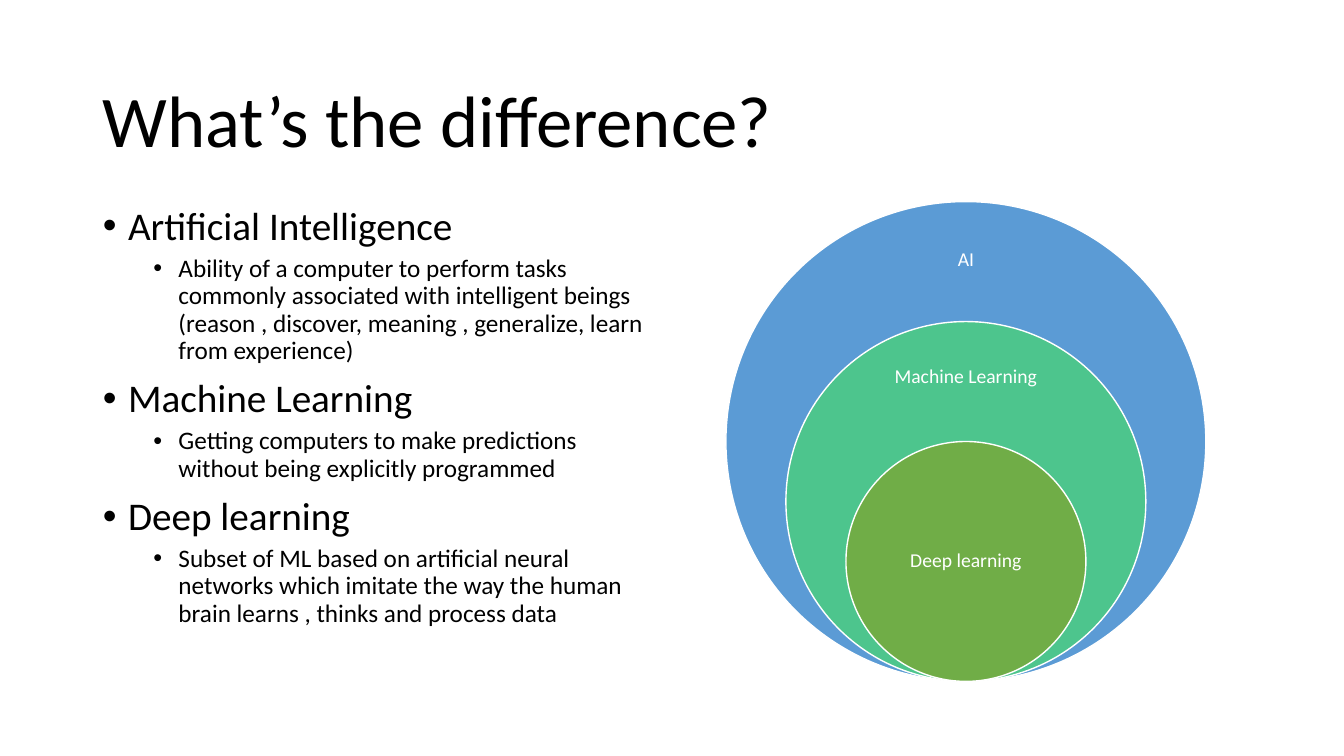
from lxml import etree
from pptx import Presentation
from pptx.dml.color import RGBColor
from pptx.enum.shapes import MSO_SHAPE
from pptx.enum.text import MSO_ANCHOR, MSO_AUTO_SIZE, PP_ALIGN
from pptx.oxml.ns import qn
from pptx.util import Inches, Pt

OVAL = MSO_SHAPE.OVAL
TOP, MIDDLE = MSO_ANCHOR.TOP, MSO_ANCHOR.MIDDLE
LEFT, CENTER = PP_ALIGN.LEFT, PP_ALIGN.CENTER
NO_FIT = MSO_AUTO_SIZE.NONE

CENTER_X, BOTTOM, DIAMETER = 9.58, 6.76, 4.76
LABEL_W = 1.68

TOPICS = [
    ("Artificial Intelligence",
     "Ability of a computer to perform tasks commonly associated with intelligent beings "
     "(reason , discover, meaning , generalize, learn from experience)"),
    ("Machine Learning",
     "Getting computers to make predictions without being explicitly programmed"),
    ("Deep learning",
     "Subset of ML based on artificial neural networks which imitate the way the human "
     "brain learns , thinks and process data"),
]
CIRCLES = [
    ("AI", 1, "5B9BD5", 2.23, 0.71),
    ("Machine Learning", 0.75, "4DC58D", 3.41, 0.67),
    ("Deep learning", 0.5, "70AD47", 4.97, 1.19),
]


def rgb(value):
    return RGBColor.from_string(value)


def apply(target, values):
    for name, value in values.items():
        setattr(target, name, value)


class SlideBuilder:
    font = "Calibri"
    dark = "000000"
    light = "FFFFFF"

    def __init__(self, slide):
        self.s = slide

    def place(self, sp, left, top, width, height):
        apply(sp, {"left": Inches(left), "top": Inches(top),
                   "width": Inches(width), "height": Inches(height)})

    def add_text(self, p, text, size, color, align=LEFT, before=0):
        apply(p, {"alignment": align, "line_spacing": 0.9,
                  "space_before": Pt(before), "space_after": Pt(0)})
        r = p.add_run()
        r.text = text
        apply(r.font, {"name": self.font, "size": Pt(size), "bold": False})
        r.font.color.rgb = rgb(color)

    def bullet(self, p, level):
        p.level = level
        pPr = p._p.get_or_add_pPr()
        pPr.set("marL", str(Inches(0.25 + 0.5 * level)))
        pPr.set("indent", str(Inches(-0.25)))
        etree.SubElement(pPr, qn("a:buFont")).set("typeface", "Arial")
        etree.SubElement(pPr, qn("a:buChar")).set("char", "•")

    def title(self, text, *box):
        sp = self.s.shapes.title
        self.place(sp, *box)
        tf = sp.text_frame
        apply(tf, {"vertical_anchor": MIDDLE, "auto_size": NO_FIT, "word_wrap": True})
        self.add_text(tf.paragraphs[0], text, 52, self.dark)

    def topics(self, topics, *box):
        sp = self.s.placeholders[1]
        self.place(sp, *box)
        tf = sp.text_frame
        apply(tf, {"vertical_anchor": TOP, "auto_size": NO_FIT, "word_wrap": True})
        for i, (heading, detail) in enumerate(topics):
            p = tf.add_paragraph() if i else tf.paragraphs[0]
            self.bullet(p, 0)
            self.add_text(p, heading, 28, self.dark, before=10 if i else 0)
            p = tf.add_paragraph()
            self.bullet(p, 1)
            self.add_text(p, detail, 18, self.dark, before=5)

    def circle(self, diameter, color):
        sp = self.s.shapes.add_shape(OVAL, 0, 0, 0, 0)
        self.place(sp, CENTER_X - diameter / 2, BOTTOM - diameter, diameter, diameter)
        sp.shadow.inherit = False
        sp.fill.solid()
        sp.fill.fore_color.rgb = rgb(color)
        sp.line.color.rgb = rgb(self.light)
        sp.line.width = Pt(1)

    def label(self, text, top, height):
        sp = self.s.shapes.add_textbox(0, 0, 0, 0)
        self.place(sp, CENTER_X - LABEL_W / 2, top, LABEL_W, height)
        tf = sp.text_frame
        inset = Inches(0.11)
        apply(tf, {"vertical_anchor": MIDDLE, "word_wrap": True,
                   "margin_left": inset, "margin_right": inset,
                   "margin_top": inset, "margin_bottom": inset})
        self.add_text(tf.paragraphs[0], text, 14, self.light, CENTER)


def main():
    prs = Presentation()
    apply(prs, {"slide_width": Inches(13.33), "slide_height": Inches(7.5)})
    builder = SlideBuilder(prs.slides.add_slide(prs.slide_layouts[1]))
    builder.title("What’s the difference?", 0.92, 0.61, 11.5, 1.24)
    builder.topics(TOPICS, 0.92, 2, 5.67, 4.76)
    for text, scale, color, top, height in CIRCLES:
        builder.circle(DIAMETER * scale, color)
        builder.label(text, top, height)
    prs.save("out.pptx")


if __name__ == "__main__":
    main()
